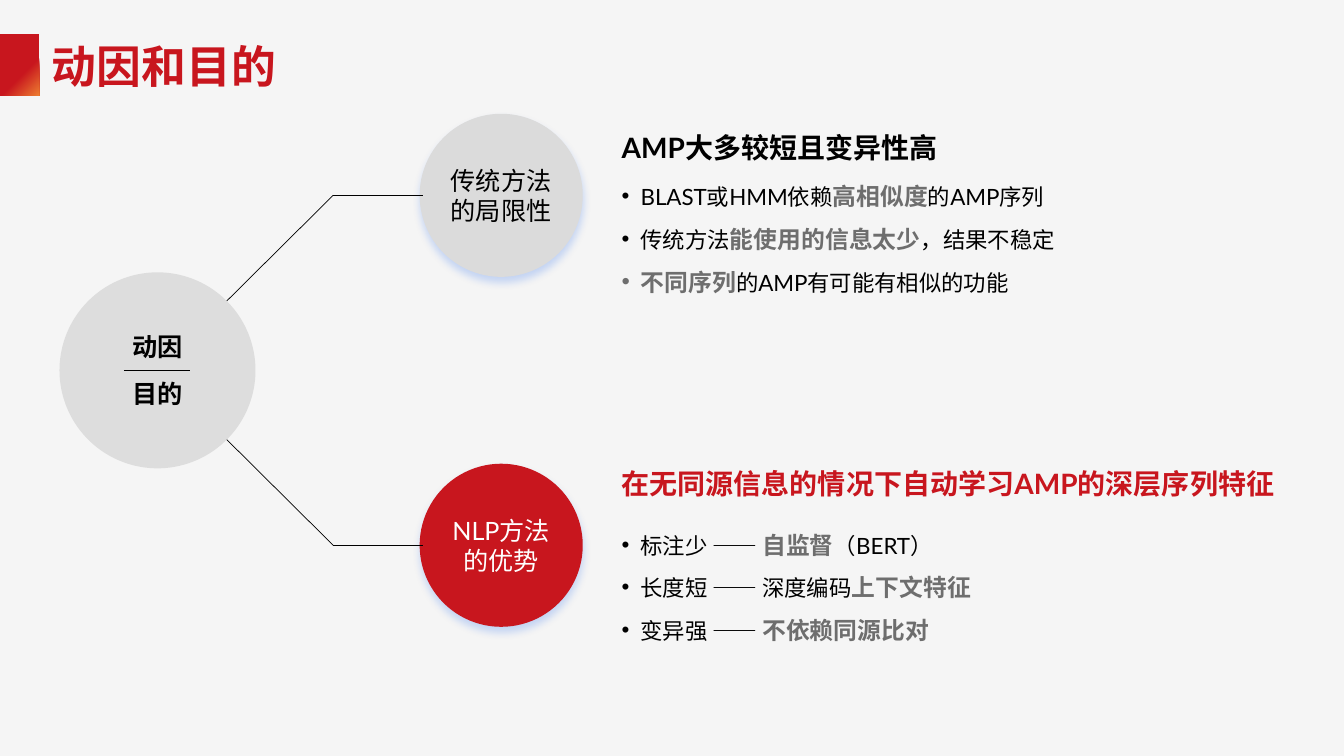
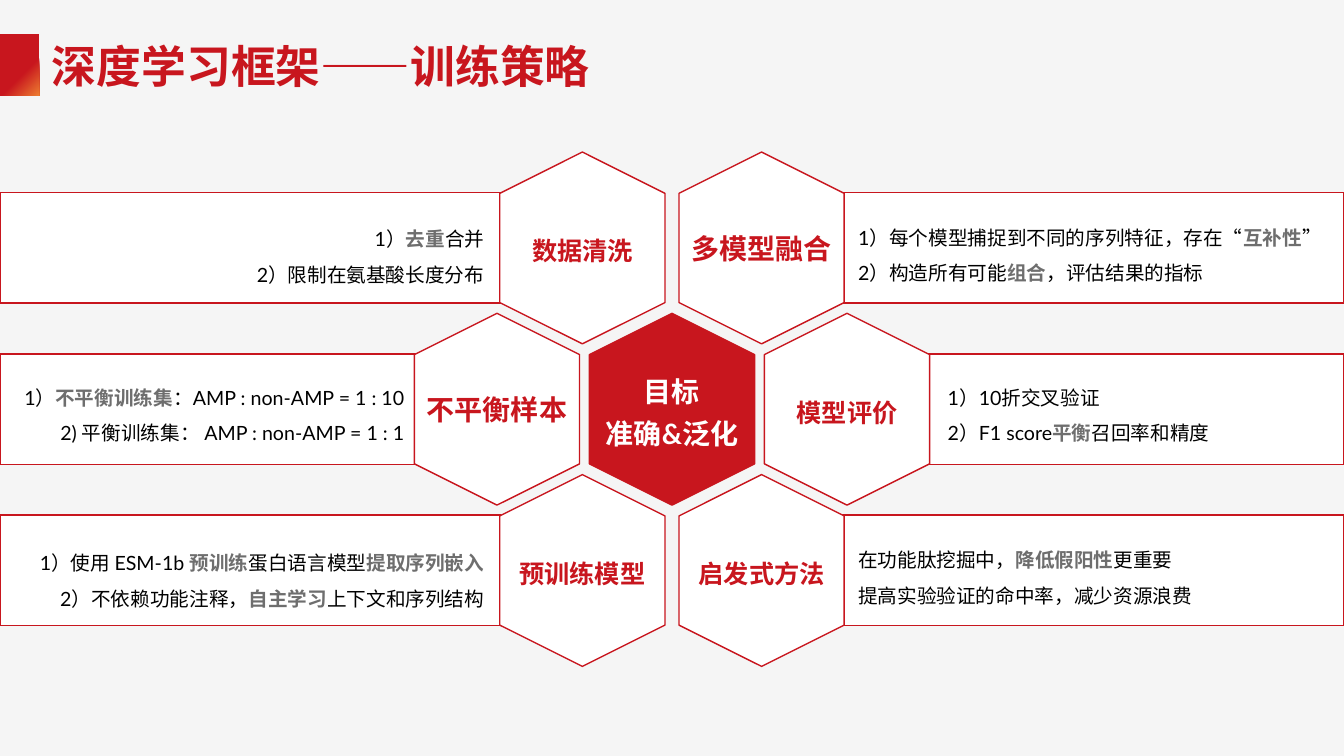
from dataclasses import dataclass

from lxml import etree
from pptx import Presentation
from pptx.dml.color import RGBColor
from pptx.enum import lang, shapes, text
from pptx.oxml.ns import qn
from pptx.util import Pt

ALIGN = text.PP_ALIGN
SHAPE = shapes.MSO_SHAPE


@dataclass(frozen=True)
class Theme:
    font: str = "Lato"
    width: int = 960
    height: int = 540
    background: str = "F5F5F5"
    red: str = "C8161E"
    orange: str = "ED7D31"
    black: str = "000000"
    white: str = "FFFFFF"
    emphasis: str = "6E6E6E"
    hub: str = "DDDDDD"
    branch: str = "DBDBDB"
    shadow: str = "0051EB"
    title: int = 32
    heading: int = 20
    label: int = 18
    bullet: int = 16
    bullet_emphasis: int = 17
    note: int = 14


T = Theme()


def rgb(color):
    return RGBColor.from_string(color)


def write(shape, lines, size, color=T.black, bold=False, align=ALIGN.LEFT,
          spacing=None, gap=0, emphasis_size=None, bullets=False):
    """Write one paragraph per line; parts between asterisks are emphasised."""
    tf = shape.text_frame
    tf.word_wrap = True
    for i, line in enumerate(lines):
        p = tf.add_paragraph() if i else tf.paragraphs[0]
        p.alignment = align
        p.line_spacing = spacing
        p.space_before = Pt(gap if i else 0)
        if bullets:
            add_bullet(p)
        for j, part in enumerate(line.split("*")):
            if not part:
                continue
            strong = j % 2 == 1
            r = p.add_run()
            r.text = part
            r.font.name = T.font
            r.font.size = Pt(emphasis_size if strong and emphasis_size else size)
            r.font.bold = bold or strong
            r.font.color.rgb = rgb(T.emphasis if strong else color)
            r.font.language_id = lang.MSO_LANGUAGE_ID.SIMPLIFIED_CHINESE


def add_bullet(p, indent=13.5):
    ppr = p._p.get_or_add_pPr()
    ppr.set("marL", str(Pt(indent)))
    ppr.set("indent", str(-Pt(indent)))
    etree.SubElement(ppr, qn("a:buFont")).set("typeface", "Arial")
    etree.SubElement(ppr, qn("a:buChar")).set("char", "•")


def set_insets(shape, left=0, top=0, right=0, bottom=0):
    tf = shape.text_frame
    tf.margin_left, tf.margin_top = Pt(left), Pt(top)
    tf.margin_right, tf.margin_bottom = Pt(right), Pt(bottom)


def add_box(s, x, y, w, h, lines, size, anchor=text.MSO_ANCHOR.TOP, **style):
    sp = s.shapes.add_textbox(Pt(x), Pt(y), Pt(w), Pt(h))
    sp.text_frame.vertical_anchor = anchor
    write(sp, lines, size, **style)
    return sp


def add_shape(s, kind, x, y, w, h, fill, line=None, line_width=1):
    sp = s.shapes.add_shape(kind, Pt(x), Pt(y), Pt(w), Pt(h))
    sp.shadow.inherit = False
    sp.fill.solid()
    sp.fill.fore_color.rgb = rgb(fill)
    if line:
        sp.line.color.rgb = rgb(line)
        sp.line.width = Pt(line_width)
    else:
        sp.line.fill.background()
    set_insets(sp)
    sp.text_frame.vertical_anchor = text.MSO_ANCHOR.MIDDLE
    return sp


def add_line(s, x1, y1, x2, y2):
    cxn = s.shapes.add_connector(shapes.MSO_CONNECTOR.STRAIGHT,
                                 Pt(x1), Pt(y1), Pt(x2), Pt(y2))
    cxn.line.color.rgb = rgb(T.black)
    cxn.line.width = Pt(0.5)
    etree.SubElement(cxn._element.spPr, qn("a:effectLst"))


def add_circle(s, x, y, diameter, fill, line=None):
    """Draw a circle about the centre (x, y)."""
    return add_shape(s, SHAPE.OVAL, x - diameter / 2, y - diameter / 2,
                     diameter, diameter, fill, line, 4.5)


def add_glow(sp):
    """Give the shape a soft blue shadow below it."""
    effects = sp._element.spPr.find(qn("a:effectLst"))
    shadow = etree.SubElement(effects, qn("a:outerShdw"), blurRad=str(Pt(6)),
                              dist=str(Pt(4)), dir="5400000", algn="t", rotWithShape="0")
    color = etree.SubElement(shadow, qn("a:srgbClr"), val=T.shadow)
    etree.SubElement(color, qn("a:alpha"), val="20000")


def new_slide(prs, title):
    s = prs.slides.add_slide(prs.slide_layouts[6])
    s.background.fill.solid()
    s.background.fill.fore_color.rgb = rgb(T.background)
    tab = add_shape(s, SHAPE.RECTANGLE, 0, 24.5, 28, 44, T.red)
    tab.fill.gradient()
    tab.fill.gradient_angle = 315
    stops = ((0.62, T.red), (1, T.orange))
    for stop, (position, color) in zip(tab.fill.gradient_stops, stops):
        stop.position = position
        stop.color.rgb = rgb(color)
    add_box(s, 30, 21, 704, 52, [title], T.title, text.MSO_ANCHOR.MIDDLE,
            color=T.red, bold=True)
    return s


def add_motivation(prs):
    s = new_slide(prs, "动因和目的")
    hub_x, hub_y, hub_size = 112.5, 264.5, 140
    branch_x, branch_size, reach, bend_x = 358, 112, 125, 238
    text_x, text_w = 437, 497

    hub = add_circle(s, hub_x, hub_y, hub_size, T.hub)
    write(hub, ["动因", "目的"], T.label, bold=True, align=ALIGN.CENTER, gap=12)
    add_line(s, hub_x - 24, hub_y, hub_x + 23, hub_y)

    branches = (
        (-1, T.branch, T.black, "传统方法的局限性",
         90, T.black, "AMP大多较短且变异性高",
         116, ["BLAST或HMM依赖*高相似度*的AMP序列",
               "传统方法*能使用的信息太少*，结果不稳定",
               "*不同序列*的AMP有可能有相似的功能"]),
        (1, T.red, T.white, "NLP方法的优势",
         330, T.red, "在无同源信息的情况下自动学习AMP的深层序列特征",
         365, ["标注少 —— *自监督*（BERT）",
               "长度短 —— 深度编码*上下文特征*",
               "变异强 —— *不依赖同源比对*"]),
    )
    diagonal = hub_size / 2 * 0.5 ** 0.5
    for (side, fill, ink, name, heading_y, heading_color, heading,
         points_y, points) in branches:
        y = hub_y + side * reach
        circle = add_circle(s, branch_x, y, branch_size, fill, fill)
        add_glow(circle)
        write(circle, [name], T.label, ink, align=ALIGN.CENTER)
        add_line(s, hub_x + diagonal, hub_y + side * diagonal, bend_x, y)
        add_line(s, bend_x, y, branch_x - branch_size / 2, y)
        add_box(s, text_x, heading_y, text_w, 32, [heading], T.heading,
                color=heading_color, bold=True)
        add_box(s, text_x, points_y, text_w, 97, points, T.bullet, spacing=1.5,
                emphasis_size=T.bullet_emphasis, bullets=True)


HEX_W, HEX_H = 118, 137


def add_hexagon(s, x, y, lines, size, drop=0, fill=T.white, ink=T.red):
    """Draw an upright hexagon about (x, y), its label lowered by drop."""
    sp = add_shape(s, SHAPE.HEXAGON, x - HEX_H / 2, y - HEX_W / 2,
                   HEX_H, HEX_W, fill, T.red)
    sp.rotation = 270
    label_h = 60
    label = add_box(s, x - HEX_W / 2, y - label_h / 2 + drop, HEX_W, label_h, lines,
                    size, text.MSO_ANCHOR.MIDDLE, color=ink, bold=True,
                    align=ALIGN.CENTER, gap=6)
    set_insets(label)


def add_band(s, side, x, y, lines, inset, drop):
    """Draw a band from the slide edge to the hexagon at (x, y)."""
    height = 79
    edge = x + side * (HEX_W / 2 - 1)
    left, right = (0, edge) if side < 0 else (edge, T.width)
    sp = add_shape(s, SHAPE.RECTANGLE, left, y - height / 2, right - left, height,
                   T.white, T.red)
    set_insets(sp, left=inset if side > 0 else 0, top=2 * drop,
               right=inset if side < 0 else 0)
    write(sp, lines, T.note, align=ALIGN.RIGHT if side < 0 else ALIGN.LEFT, spacing=1.5)


def add_strategy(prs):
    s = new_slide(prs, "深度学习框架——训练策略")
    centre_x, centre_y, row_step = T.width / 2, 292.3, 115.2
    offsets = {-1: 64, 0: 125, 1: 64}
    # side, row, label, label size, text inset, text drop, lines
    cells = (
        (1, -1, "多模型融合", T.heading, 11, 1,
         ["1）每个模型捕捉到不同的序列特征，存在“*互补性*”",
          "2）构造所有可能*组合*，评估结果的指标"]),
        (1, 1, "启发式方法", T.label, 11, 1,
         ["在功能肽挖掘中，*降低假阳性*更重要", "提高实验验证的命中率，减少资源浪费"]),
        (-1, 1, "预训练模型", T.label, 12, 3,
         ["1）使用 ESM-1b *预训练*蛋白语言模型*提取序列嵌入*",
          "2）不依赖功能注释，*自主学习*上下文和序列结构"]),
        (-1, -1, "数据清洗", T.label, 12, 2,
         ["1）*去重*合并", "2）限制在氨基酸长度分布"]),
        (-1, 0, "不平衡样本", T.heading, 8, 0,
         ["1）*不平衡训练集*：AMP : non-AMP = 1 : 10",
          "2) 平衡训练集： AMP : non-AMP = 1 : 1"]),
        (1, 0, "模型评价", T.label, 14, 0,
         ["1）10折交叉验证", "2）F1 score*平衡*召回率和精度"]),
    )
    for side, row, label, size, inset, drop, lines in cells:
        x = centre_x + side * offsets[row]
        y = centre_y + row * row_step
        add_band(s, side, x, y, lines, inset, drop)
        add_hexagon(s, x, y, [label], size, drop=2 if size == T.label else 0)
    add_hexagon(s, centre_x, centre_y, ["目标", "准确&泛化"], T.heading, drop=2,
                fill=T.red, ink=T.white)


def main():
    prs = Presentation()
    prs.slide_width, prs.slide_height = Pt(T.width), Pt(T.height)
    add_motivation(prs)
    add_strategy(prs)
    prs.save("out.pptx")


if __name__ == "__main__":
    main()
